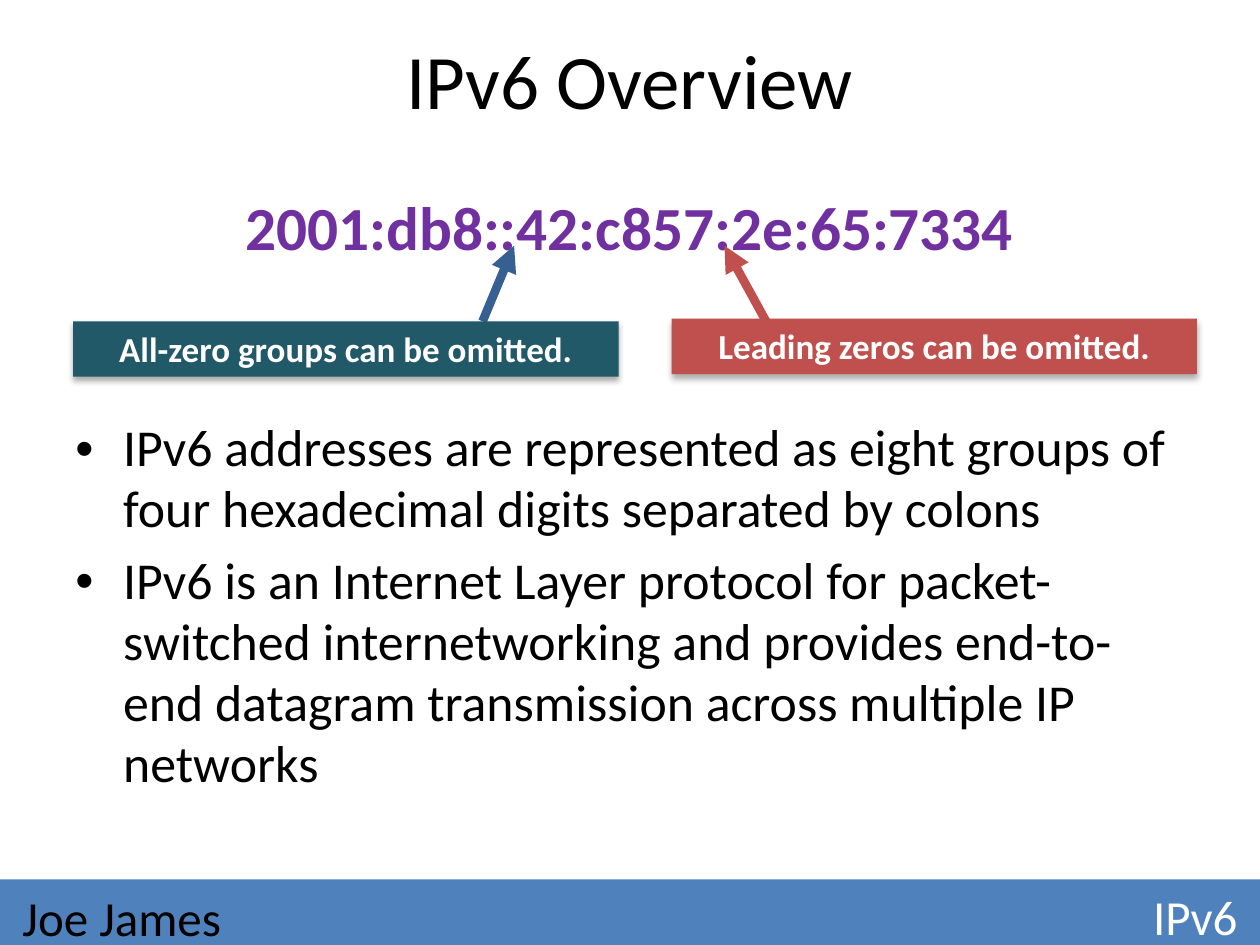
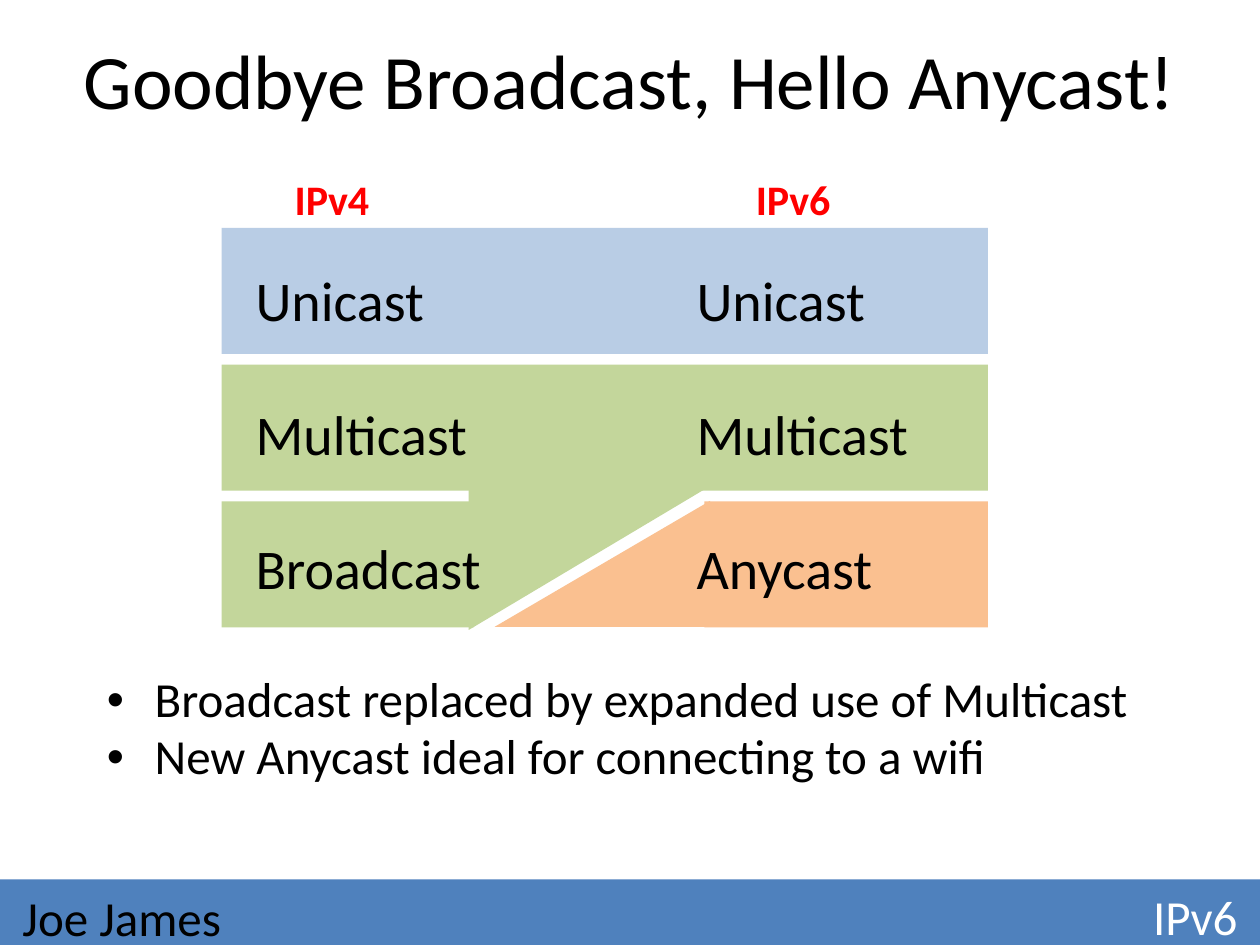
import pptx
import pptx.util
import pptx.dml.color
import pptx.enum.shapes
import pptx.enum.text
import pptx.oxml
import pptx.oxml.ns

Inches, Pt = pptx.util.Inches, pptx.util.Pt
SHAPE = pptx.enum.shapes.MSO_SHAPE
ALIGN = pptx.enum.text.PP_ALIGN
ANCHOR = pptx.enum.text.MSO_ANCHOR
NS = pptx.oxml.ns.nsdecls("a")

COLORS = {
    "black": "000000", "white": "FFFFFF", "band": "4F81BD", "purple": "7030A0",
    "navy": "376092", "brick": "C0504D", "teal": "215968", "red": "FF0000",
    "blue": "B9CDE5", "green": "C3D69B", "orange": "FAC090",
}

AUTHOR, TOPIC = "Joe James", "IPv6"

ADDRESS = "2001:db8::42:c857:2e:65:7334"
CALLOUTS = [
    ("Leading zeros can be omitted.", "brick", (5.33, 2.53, 4.17, 0.44)),
    ("All-zero groups can be omitted.", "teal", (0.58, 2.55, 4.33, 0.44)),
]
ARROWS = [
    ((3.83, 2.55), (4.08, 1.95), "navy"),
    ((6.08, 2.55), (5.75, 1.95), "brick"),
]
OVERVIEW = [
    "IPv6 addresses are represented as eight groups of four hexadecimal digits separated by colons",
    "IPv6 is an Internet Layer protocol for packet-switched internetworking and provides "
    "end-to-end datagram transmission across multiple IP networks",
]

CAST_COLUMNS = [
    ("IPv4", 2.24, 1.93, ["Unicast", "Multicast", "Broadcast"]),
    ("IPv6", 5.9, 5.43, ["Unicast", "Multicast", "Anycast"]),
]
CHANGES = [
    "Broadcast replaced by expanded use of Multicast",
    "New Anycast ideal for connecting to a wifi",
]

GRID_LEFT, GRID_WIDTH, ROW_HEIGHT = 1.76, 6.08, 1
ROW_TOPS = [1.81 + 1.085 * i for i in range(3)]
BROADCAST_WIDTH, ANYCAST_WIDTH = 2, 2.25


def rgb(name):
    return pptx.dml.color.RGBColor.from_string(COLORS[name])


def set_attrs(obj, values):
    for name, value in values.items():
        setattr(obj, name, value)


def write(sp, lines, size, color="black", bold=False, bullet=False, anchor=ANCHOR.TOP, **para):
    tf = sp.text_frame
    set_attrs(tf, {"word_wrap": True, "vertical_anchor": anchor})
    for i, line in enumerate(lines):
        p = tf.add_paragraph() if i else tf.paragraphs[0]
        set_attrs(p, {"alignment": ALIGN.LEFT, **para})
        if i == 0 and not bullet:
            p.space_before = Pt(0)
        r = p.add_run()
        r.text = line
        set_attrs(r.font, {"name": "Calibri", "size": Pt(size), "bold": bold})
        r.font.color.rgb = rgb(color)
        if bullet:
            pr = p._p.get_or_add_pPr()
            pr.set("marL", str(Inches(0.38)))
            pr.set("indent", str(-Inches(0.38)))
            pr.append(pptx.oxml.parse_xml(f'<a:buFont {NS} typeface="Arial"/>'))
            pr.append(pptx.oxml.parse_xml(f'<a:buChar {NS} char="•"/>'))


def add_text(s, box, lines, size, **fmt):
    sp = s.shapes.add_textbox(*map(Inches, box))
    write(sp, lines, size, **fmt)


def add_block(s, box, color, kind=SHAPE.RECTANGLE, rotation=0):
    sp = s.shapes.add_shape(kind, *map(Inches, box))
    sp.shadow.inherit = False
    sp.fill.solid()
    sp.fill.fore_color.rgb = rgb(color)
    sp.line.fill.background()
    sp.rotation = rotation
    return sp


def add_callout(s, text, color, box):
    sp = add_block(s, box, color)
    sp._element.spPr.find(pptx.oxml.ns.qn("a:effectLst")).append(pptx.oxml.parse_xml(
        f'<a:outerShdw {NS} blurRad="{Pt(3.5)}" dist="{Pt(2.2)}" dir="5400000" rotWithShape="0">'
        f'<a:srgbClr val="{COLORS["black"]}"><a:alpha val="32000"/></a:srgbClr></a:outerShdw>'))
    write(sp, [text], 20, color="white", bold=True, alignment=ALIGN.CENTER)


def add_arrow(s, start, end, color):
    line = s.shapes.add_connector(
        pptx.enum.shapes.MSO_CONNECTOR.STRAIGHT, *map(Inches, start + end))
    line.line.color.rgb = rgb(color)
    line.line.width = Pt(5)
    line.line._get_or_add_ln().append(pptx.oxml.parse_xml(f'<a:tailEnd {NS} type="triangle"/>'))
    line._element.spPr.append(pptx.oxml.parse_xml(f'<a:effectLst {NS}/>'))


def add_slide(prs, title):
    s = prs.slides.add_slide(prs.slide_layouts[6])
    add_block(s, (0, 6.98, 10, 0.52), "band")
    add_text(s, (7, 6.98, 2.92, 0.58), [TOPIC], 28, color="white",
             anchor=ANCHOR.MIDDLE, alignment=ALIGN.RIGHT)
    add_text(s, (0.08, 6.98, 2.92, 0.6), [AUTHOR], 28, anchor=ANCHOR.MIDDLE)
    add_text(s, (0, 0, 10, 1.25), [title], 44, anchor=ANCHOR.MIDDLE, alignment=ALIGN.CENTER)
    return s


def build_overview(prs):
    s = add_slide(prs, "IPv6 Overview")
    add_text(s, (0.5, 1.45, 9, 1.08), [ADDRESS], 35, color="purple", bold=True,
             alignment=ALIGN.CENTER)
    for arrow in ARROWS:
        add_arrow(s, *arrow)
    for callout in CALLOUTS:
        add_callout(s, *callout)
    add_text(s, (0.5, 3.27, 9, 3.48), OVERVIEW, 29.6, bullet=True,
             space_before=Pt(6), line_spacing=0.98)


def build_casting(prs):
    s = add_slide(prs, "Goodbye Broadcast, Hello Anycast!")
    unicast, multicast, last = ROW_TOPS
    anycast_left = GRID_LEFT + GRID_WIDTH - ANYCAST_WIDTH
    add_block(s, (anycast_left, last, ANYCAST_WIDTH, ROW_HEIGHT), "orange")
    add_block(s, (4.28, 3.62, 1, 1.71), "orange", SHAPE.RIGHT_TRIANGLE, 270)
    add_block(s, (GRID_LEFT, unicast, GRID_WIDTH, ROW_HEIGHT), "blue")
    add_block(s, (4.15, 3.3, 1.27, 2.13), "green", SHAPE.RIGHT_TRIANGLE, 90)
    add_block(s, (GRID_LEFT, multicast, GRID_WIDTH, ROW_HEIGHT), "green")
    add_block(s, (GRID_LEFT, last, BROADCAST_WIDTH, ROW_HEIGHT), "green")
    for heading, heading_left, left, labels in CAST_COLUMNS:
        add_text(s, (left, 2.06, 2.25, 2.79), labels, 32, space_before=Pt(38))
        add_text(s, (heading_left, 1.33, 2.1, 0.5), [heading], 24, color="red", bold=True)
    add_text(s, (0.75, 5.28, 8.83, 1.31), CHANGES, 28, bullet=True, line_spacing=0.97)


def main():
    prs = pptx.Presentation()
    set_attrs(prs, {"slide_width": Inches(10), "slide_height": Inches(7.5)})
    build_overview(prs)
    build_casting(prs)
    prs.save("out.pptx")


if __name__ == "__main__":
    main()
